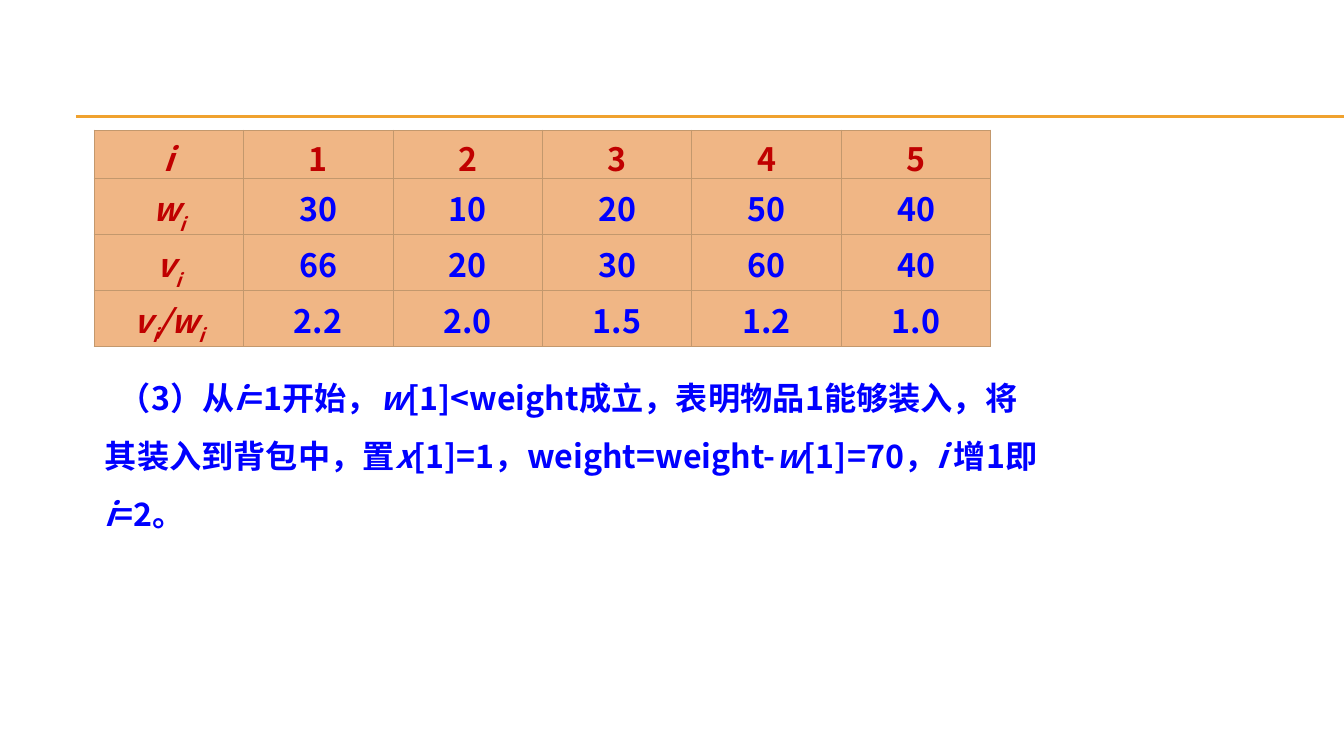
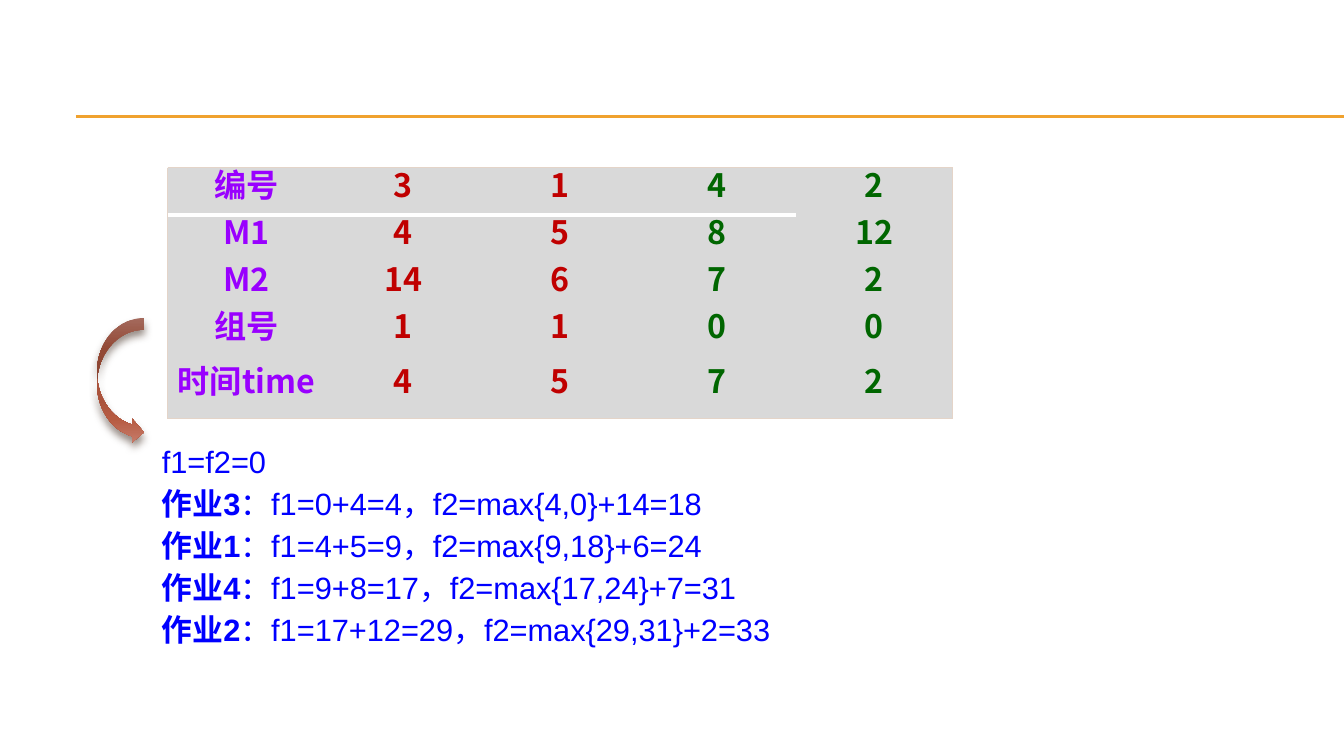
import pptx
import pptx.dml.color
import pptx.enum.dml
import pptx.enum.lang
import pptx.enum.shapes
import pptx.enum.text
import pptx.oxml
import pptx.oxml.ns
import pptx.util

PX = 914400 / 100.8
NS = pptx.oxml.ns.nsdecls("a")
SANS = "Noto Sans CJK SC"
BLUE, RED, GREEN, PURPLE = "0000FF", "C00000", "006600", "9900FF"
GOLD, TAN, PALE, GREY = "F0A22E", "C3986D", "E4D4C8", "D9D9D9"
PLAIN_TABLE = "{2D5ABB26-0587-4C30-8999-92F81FD0307C}"


def px(*sizes):
    return [round(size * PX) for size in sizes]


def write(frame, paras, size=23, font=SANS, color=BLUE, bold=False,
          align=None, space=None, indent=0):
    """Fill a frame; each paragraph lists (text, style), style of b, i, s (subscript)."""
    frame.word_wrap = True
    for n, runs in enumerate(paras):
        para = frame.add_paragraph() if n else frame.paragraphs[0]
        para.alignment = align
        para.line_spacing = space
        if indent:
            para._p.get_or_add_pPr().set("indent", str(px(indent)[0]))
        for text, style in runs:
            run = para.add_run()
            run.text = text
            run.font.size = pptx.util.Pt(size)
            run.font.name = font
            run.font.bold = bold or "b" in style
            run.font.italic = "i" in style
            run.font.language_id = pptx.enum.lang.MSO_LANGUAGE_ID.SIMPLIFIED_CHINESE
            run.font.color.rgb = pptx.dml.color.RGBColor.from_string(color)
            props = run._r.get_or_add_rPr()
            if "s" in style:
                props.set("baseline", "-30000")
            props.find(pptx.oxml.ns.qn("a:latin")).addnext(
                pptx.oxml.parse_xml(f'<a:ea {NS} typeface="{SANS}"/>'))


deck = pptx.Presentation()
deck.slide_width, deck.slide_height = px(1344, 756)
blank = deck.slide_layouts[6]
pack = deck.slides.add_slide(blank)
jobs = deck.slides.add_slide(blank)

# Double rule shared through the layout
for y in (116, 117):
    rule = pack.shapes.add_connector(
        pptx.enum.shapes.MSO_CONNECTOR.STRAIGHT, *px(76, y, 1344, y))
    rule.line.color.rgb = pptx.dml.color.RGBColor.from_string(GOLD)
    rule.line.width = pptx.util.Pt(0.75)
    rule._element.spPr.append(pptx.oxml.parse_xml(f"<a:effectLst {NS}/>"))
    blank.shapes._spTree.append(rule._element)

# Body text
box = pack.shapes.add_textbox(*px(95, 354, 953, 180))
write(box.text_frame, [[
    ("（3）从", ""), ("i", "i"), ("=1开始，", ""), ("w", "i"),
    ("[1]<weight成立，表明物品1能够装入，将其装入到背包中，置", ""),
    ("x", "i"), ("[1]=1，weight=weight-", ""), ("w", "i"),
    ("[1]=70，", ""), ("i ", "i"), ("增1即", ""), ("i", "i"), ("=2。", ""),
]], bold=True, space=1.5, indent=14)

steps = [
    ("作业3", "：f1=0+4=4，f2=max{4,0}+14=18"),
    ("作业1", "：f1=4+5=9，f2=max{9,18}+6=24"),
    ("作业4", "：f1=9+8=17，f2=max{17,24}+7=31"),
    ("作业2", "：f1=17+12=29，f2=max{29,31}+2=33"),
]
box = jobs.shapes.add_textbox(*px(152, 433, 694, 219))
write(box.text_frame,
      [[("f1=f2=0", "")]] + [[(job, "b"), (sums, "")] for job, sums in steps],
      size=22, font="Arial", space=pptx.util.Pt(30))

# Tables: first entry of each row is its label
items = [
    [[("i", "i")], "1", "2", "3", "4", "5"],
    [[("w", "i"), ("i", "is")], "30", "10", "20", "50", "40"],
    [[("v", "i"), ("i", "is")], "66", "20", "30", "60", "40"],
    [[("v", "i"), ("i", "is"), ("/w", "i"), ("i", "is")],
     "2.2", "2.0", "1.5", "1.2", "1.0"],
]
times = [
    ["编号", "3", "1", "4", "2"],
    ["M1", "4", "5", "8", "12"],
    ["M2", "14", "6", "7", "2"],
    ["组号", "1", "1", "0", "0"],
    ["时间time", "4", "5", "7", "2"],
]
tables = [
    (pack, items, (94, 130, 897, 216), (49, 56, 55, 56), "F0B685"),
    (jobs, times, (168, 168, 785, 251), (47, 47, 47, 47, 63), GREY),
]
for slide, data, place, heights, fill in tables:
    count = len(data[0])
    last = len(data) - 1
    table = slide.shapes.add_table(len(data), count, *px(*place)).table
    table._tbl.tblPr[0].text = PLAIN_TABLE
    for col in table.columns:
        col.width = px(place[2] / count)[0]
    for r, values in enumerate(data):
        table.rows[r].height = px(heights[r])[0]
        for c, value in enumerate(values):
            cell = table.cell(r, c)
            if slide is pack:
                edges = dict.fromkeys("LRTB", (TAN, 0.79))
                color = RED if r == 0 or c == 0 else BLUE
                space = None
                if r == 0:
                    cell.margin_top, cell.margin_bottom = px(4, 0)
            else:
                sides = {"L": c == 0, "R": c == count - 1, "T": r == 0, "B": r == last}
                edges = {side: (PALE, 0.79) for side, outer in sides.items() if outer}
                if r == 0 and c < count - 1:
                    edges["B"] = ("FFFFFF", 3)
                color = (PURPLE, RED, RED, GREEN, GREEN)[c]
                space = pptx.util.Pt(22)
                cell.vertical_anchor = pptx.enum.text.MSO_ANCHOR.MIDDLE
                if r > 2:
                    cell.margin_left, cell.margin_right = px(7, 7)
                    cell.margin_top = cell.margin_bottom = 0
            props = cell._tc.get_or_add_tcPr()
            for side, (hue, width) in edges.items():
                props.append(pptx.oxml.parse_xml(
                    f'<a:ln{side} {NS} w="{pptx.util.Pt(width)}"><a:solidFill>'
                    f'<a:srgbClr val="{hue}"/></a:solidFill></a:ln{side}>'))
            cell.fill.solid()
            cell.fill.fore_color.rgb = pptx.dml.color.RGBColor.from_string(fill)
            runs = [(value, "")] if isinstance(value, str) else value
            write(cell.text_frame, [runs], color=color, bold=True, space=space,
                  align=pptx.enum.text.PP_ALIGN.CENTER)

# Curved arrow from the table to the sums
arrow = jobs.shapes.add_shape(
    pptx.enum.shapes.MSO_SHAPE.CURVED_RIGHT_ARROW, *px(97, 318, 47, 126))
arrow.line.fill.background()
arrow.fill.gradient()
arrow.fill.gradient_angle = 270
stops = arrow.fill._fill._gradFill.gsLst
for stop in list(stops):
    stops.remove(stop)
for pos, hue in ((0, "CD8473"), (25, "B75B42"), (50, "AA533C"),
                 (65, "AA533C"), (80, "B65B42"), (100, "C77D6B")):
    stops.append(pptx.oxml.parse_xml(
        f'<a:gs {NS} pos="{pos * 1000}"><a:srgbClr val="{hue}"/></a:gs>'))
arrow.shadow.inherit = False
arrow._element.spPr.find(pptx.oxml.ns.qn("a:effectLst")).append(pptx.oxml.parse_xml(
    f'<a:outerShdw {NS} blurRad="{pptx.util.Pt(6)}" dist="{pptx.util.Pt(4)}" '
    'dir="5400000" rotWithShape="0"><a:srgbClr val="4E3B30">'
    '<a:alpha val="60000"/></a:srgbClr></a:outerShdw>'))

deck.save("out.pptx")
